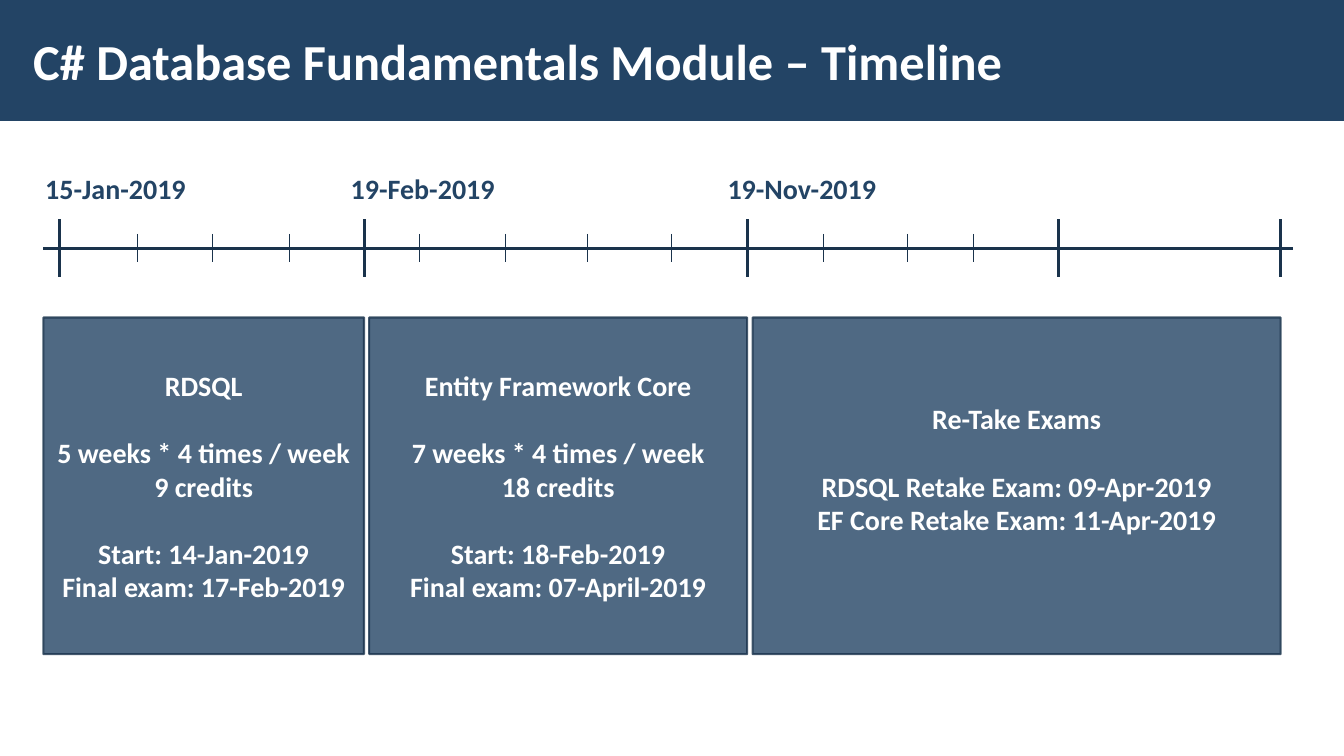
from dataclasses import dataclass

import pptx
import pptx.dml.color
import pptx.enum.shapes
import pptx.enum.text
import pptx.oxml.ns
import pptx.util
from lxml import etree

Pt = pptx.util.Pt
RGB = pptx.dml.color.RGBColor
Align = pptx.enum.text.PP_ALIGN
RECT = pptx.enum.shapes.MSO_SHAPE.RECTANGLE
STRAIGHT = pptx.enum.shapes.MSO_CONNECTOR.STRAIGHT
qn = pptx.oxml.ns.qn


@dataclass(frozen=True)
class Theme:
    font: str = "Calibri"
    navy: RGB = RGB(0x23, 0x44, 0x65)
    ink: RGB = RGB(0x1A, 0x33, 0x4C)
    white: RGB = RGB(0xFF, 0xFF, 0xFF)
    title_size: float = 36
    body_size: float = 20
    panel_opacity: int = 80


@dataclass(frozen=True)
class TickRow:
    xs: tuple[float, ...]
    height: float
    weight: float


@dataclass(frozen=True)
class DateLabel:
    text: str
    left: float
    width: float


@dataclass(frozen=True)
class Stage:
    left: float
    width: float
    groups: tuple[tuple[str, ...], ...]
    bottom_inset: float = 3.6


THEME = Theme()
SLIDE_W, SLIDE_H = 960, 540
BAR_H = 86.4
AXIS_Y, AXIS_LEFT, AXIS_RIGHT = 177.3, 31, 923.8
DATE_TOP, DATE_H = 118.8, 31.7
STAGE_TOP, STAGE_H = 226.8, 240.5
GROUP_GAP = 24

TICK_ROWS = (
    TickRow((42.6, 260.6, 534.2, 756, 914.4), 41, 2.25),
    TickRow((97.9, 151.9, 206.6, 299.5, 360.7, 419.8, 479.5, 588.2, 648, 695.5), 20.4, 0.5),
)

DATES = (
    DateLabel("15-Jan-2019", 25.2, 115.9),
    DateLabel("19-Feb-2019", 243.4, 118.1),
    DateLabel("19-Nov-2019", 512.6, 121.7),
)

STAGES = (
    Stage(31, 229, (
        ("RDSQL",),
        ("5 weeks * 4 times / week", "9 credits"),
        ("Start: 14-Jan-2019", "Final exam: 17-Feb-2019"),
    )),
    Stage(263.7, 270, (
        ("Entity Framework Core",),
        ("7 weeks * 4 times / week", "18 credits"),
        ("Start: 18-Feb-2019", "Final exam: 07-April-2019"),
    )),
    Stage(537.6, 377.2, (
        ("Re-Take Exams",),
        ("RDSQL Retake Exam: 09-Apr-2019", "EF Core Retake Exam: 11-Apr-2019"),
    ), bottom_inset=3.6 + GROUP_GAP),
)


def apply(target, values: dict) -> None:
    for name, value in values.items():
        setattr(target, name, value)


def write(p, text: str, size: float, color: RGB) -> None:
    r = p.add_run()
    r.text = text
    apply(r.font, {"name": THEME.font, "size": Pt(size), "bold": True})
    r.font.color.rgb = color


def set_opacity(fill, percent: int) -> None:
    """Add an alpha value to the solid colour of a fill or line element."""
    color = fill.find(".//" + qn("a:srgbClr"))
    etree.SubElement(color, qn("a:alpha")).set("val", str(percent * 1000))


def add_rect(slide, left: float, top: float, width: float, height: float):
    sp = slide.shapes.add_shape(RECT, Pt(left), Pt(top), Pt(width), Pt(height))
    sp.shadow.inherit = False
    sp.fill.solid()
    sp.fill.fore_color.rgb = THEME.navy
    return sp


def add_line(slide, x1: float, y1: float, x2: float, y2: float, weight: float) -> None:
    line = slide.shapes.add_connector(STRAIGHT, Pt(x1), Pt(y1), Pt(x2), Pt(y2))
    line.line.color.rgb = THEME.ink
    line.line.width = Pt(weight)
    etree.SubElement(line._element.spPr, qn("a:effectLst"))


def add_title(slide, text: str) -> None:
    add_rect(slide, 0, 0, SLIDE_W, BAR_H).line.fill.background()
    tf = slide.shapes.add_textbox(Pt(15.1), Pt(7.9), Pt(748), Pt(69.8)).text_frame
    apply(tf, {
        "word_wrap": True,
        "vertical_anchor": pptx.enum.text.MSO_ANCHOR.MIDDLE,
        "margin_left": Pt(8.6), "margin_right": Pt(8.6),
        "margin_top": Pt(2.9), "margin_bottom": Pt(2.9),
    })
    write(tf.paragraphs[0], text, THEME.title_size, THEME.white)


def add_ticks(slide, row: TickRow) -> None:
    for x in row.xs:
        add_line(slide, x, AXIS_Y - row.height / 2, x, AXIS_Y + row.height / 2, row.weight)


def add_date(slide, date: DateLabel) -> None:
    sp = slide.shapes.add_textbox(Pt(date.left), Pt(DATE_TOP), Pt(date.width), Pt(DATE_H))
    tf = sp.text_frame
    apply(tf, {"word_wrap": False, "auto_size": pptx.enum.text.MSO_AUTO_SIZE.SHAPE_TO_FIT_TEXT})
    write(tf.paragraphs[0], date.text, THEME.body_size, THEME.navy)


def add_stage(slide, stage: Stage) -> None:
    sp = add_rect(slide, stage.left, STAGE_TOP, stage.width, STAGE_H)
    sp.line.color.rgb = THEME.ink
    sp.line.width = Pt(1.5)
    for tag in ("a:solidFill", "a:ln"):
        set_opacity(sp._element.spPr.find(qn(tag)), THEME.panel_opacity)
    tf = sp.text_frame
    apply(tf, {
        "word_wrap": True,
        "vertical_anchor": pptx.enum.text.MSO_ANCHOR.MIDDLE,
        "margin_bottom": Pt(stage.bottom_inset),
    })
    for g, group in enumerate(stage.groups):
        for i, text in enumerate(group):
            first = g == 0 and i == 0
            p = tf.paragraphs[0] if first else tf.add_paragraph()
            p.alignment = Align.CENTER
            if g > 0 and i == 0:
                p.space_before = Pt(GROUP_GAP)
            write(p, text, THEME.body_size, THEME.white)


def main() -> None:
    prs = pptx.Presentation()
    apply(prs, {"slide_width": Pt(SLIDE_W), "slide_height": Pt(SLIDE_H)})
    slide = prs.slides.add_slide(prs.slide_layouts[6])
    add_title(slide, "C# Database Fundamentals Module – Timeline")
    add_line(slide, AXIS_LEFT, AXIS_Y, AXIS_RIGHT, AXIS_Y, 2.25)
    for row in TICK_ROWS:
        add_ticks(slide, row)
    for date in DATES:
        add_date(slide, date)
    for stage in STAGES:
        add_stage(slide, stage)
    prs.save("out.pptx")


if __name__ == "__main__":
    main()
